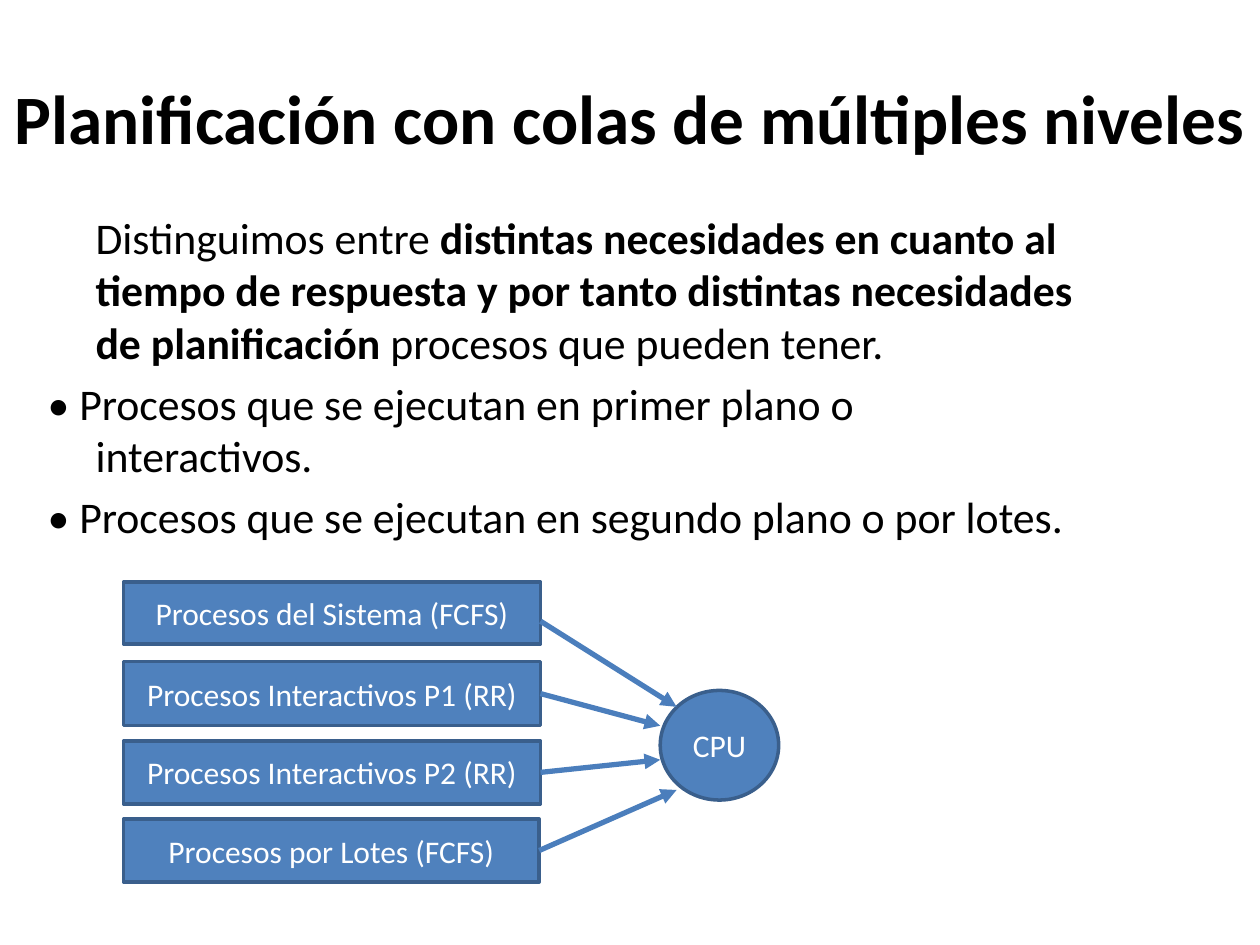
from dataclasses import dataclass
from lxml.etree import SubElement
from pptx import Presentation
from pptx.dml.color import RGBColor as Rgb
from pptx.enum.shapes import MSO_CONNECTOR as Link, MSO_SHAPE as Kind
from pptx.enum.text import MSO_ANCHOR as Anchor, PP_ALIGN as Align
from pptx.oxml.ns import qn
from pptx.util import Inches, Pt

FONT = "Calibri"
COLORS = {
    "text": "000000",
    "fill": "4F81BD",
    "edge": "3A5F8C",
    "arrow": "4B7EBC",
    "label": "FFFFFF",
}


@dataclass
class Box:
    label: str
    x: float
    y: float
    w: float
    h: float
    kind: Kind = Kind.RECTANGLE


@dataclass
class Queue:
    box: Box
    start: float
    end: tuple[float, float]
    joined: bool = True


CPU = Box("CPU", 5.24, 5.48, 0.94, 0.87, Kind.OVAL)
QUEUES = [
    Queue(Box("Procesos del Sistema (FCFS)", 0.98, 4.62, 3.31, 0.49), 4.93, (5.37, 5.61), False),
    Queue(Box("Procesos Interactivos P1 (RR)", 0.98, 5.25, 3.31, 0.51), 5.53, (5.24, 5.76)),
    Queue(Box("Procesos Interactivos P2 (RR)", 0.98, 5.88, 3.31, 0.5), 6.11, (5.24, 6.03)),
    Queue(Box("Procesos por Lotes (FCFS)", 0.98, 6.5, 3.3, 0.5), 6.74, (5.37, 6.27)),
]
INTRO = [
    ("Distinguimos entre ", False),
    ("distintas necesidades en cuanto al tiempo de respuesta y por tanto "
     "distintas necesidades de planificación ", True),
    ("procesos que pueden tener.", False),
]
POINTS = [
    "• Procesos que se ejecutan en primer plano o interactivos.",
    "• Procesos que se ejecutan en segundo plano o por lotes.",
]


def color(name: str) -> Rgb:
    return Rgb.from_string(COLORS[name])


def style(run, size: float, tone: str, bold: bool = False) -> None:
    run.font.name = FONT
    run.font.size = Pt(size)
    run.font.bold = bold
    run.font.color.rgb = color(tone)


def add_frame(slide, x: float, y: float, w: float, h: float):
    frame = slide.shapes.add_textbox(Inches(x), Inches(y), Inches(w), Inches(h)).text_frame
    frame.word_wrap = True
    return frame


def add_title(slide) -> None:
    frame = add_frame(slide, 0, 0.3, 10, 1.25)
    frame.vertical_anchor = Anchor.MIDDLE
    frame.text = "Planificación con colas de múltiples niveles"
    para = frame.paragraphs[0]
    para.alignment = Align.CENTER
    style(para.runs[0], 39.6, "text", True)


def add_body(slide) -> None:
    frame = add_frame(slide, 0.28, 1.62, 8.35, 3.46)
    intro = frame.paragraphs[0]
    for text, bold in INTRO:
        run = intro.add_run()
        run.text = text
        style(run, 25, "text", bold)
    for text in POINTS:
        para = frame.add_paragraph()
        para.text = text
        style(para.runs[0], 25, "text")
    for para in frame.paragraphs:
        para.space_before = Pt(5)
        props = para._p.get_or_add_pPr()
        props.set("marL", str(Inches(0.38)))
        props.set("indent", str(0 if para._p is intro._p else -Inches(0.38)))


def add_box(slide, box: Box):
    shape = slide.shapes.add_shape(
        box.kind, Inches(box.x), Inches(box.y), Inches(box.w), Inches(box.h))
    shape.shadow.inherit = False
    shape.fill.solid()
    shape.fill.fore_color.rgb = color("fill")
    shape.line.color.rgb = color("edge")
    shape.line.width = Pt(2)
    frame = shape.text_frame
    frame.word_wrap = True
    frame.vertical_anchor = Anchor.MIDDLE
    frame.text = box.label
    para = frame.paragraphs[0]
    para.alignment = Align.CENTER
    style(para.runs[0], 18, "label")
    return shape


def add_arrow(slide, queue: Queue, shape) -> None:
    x, y = queue.end
    line = slide.shapes.add_connector(
        Link.STRAIGHT, Inches(4.29), Inches(queue.start), Inches(x), Inches(y))
    if queue.joined:
        line.begin_connect(shape, 3)
    line.line.color.rgb = color("arrow")
    line.line.width = Pt(3)
    SubElement(line.line._get_or_add_ln(), qn("a:tailEnd"), type="triangle")
    SubElement(line._element.spPr, qn("a:effectLst"))


def main() -> None:
    deck = Presentation()
    deck.slide_width, deck.slide_height = Inches(10), Inches(7.5)
    slide = deck.slides.add_slide(deck.slide_layouts[6])
    add_title(slide)
    add_body(slide)
    shapes = [add_box(slide, queue.box) for queue in QUEUES]
    add_box(slide, CPU)
    for queue, shape in zip(QUEUES, shapes):
        add_arrow(slide, queue, shape)
    deck.save("out.pptx")


if __name__ == "__main__":
    main()
